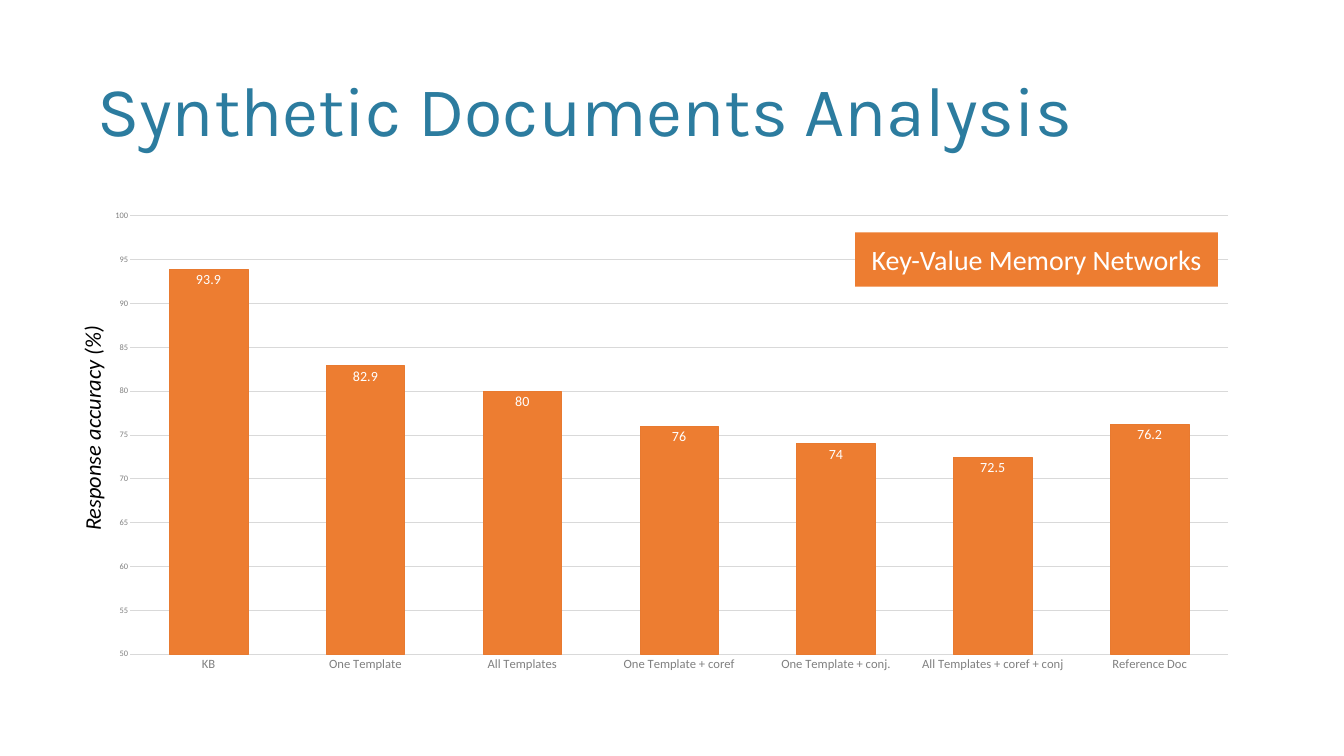
from dataclasses import dataclass
from typing import Optional

from pptx import Presentation
from pptx.chart.data import CategoryChartData
from pptx.dml.color import RGBColor
from pptx.enum.chart import XL_CHART_TYPE as ChartType
from pptx.enum.chart import XL_LABEL_POSITION as LabelPos
from pptx.enum.chart import XL_TICK_MARK as Tick
from pptx.enum.shapes import MSO_SHAPE as Shape
from pptx.enum.text import MSO_ANCHOR as Anchor
from pptx.enum.text import PP_ALIGN as Align
from pptx.util import Inches, Pt

ORANGE, EDGE, GRID, GREY = "ED7D31", "E87A30", "D9D9D9", "808080"
ACCURACY = {
    "KB": 93.9,
    "One Template": 82.9,
    "All Templates": 80,
    "One Template + coref": 76,
    "One Template + conj.": 74,
    "All Templates + coref + conj": 72.5,
    "Reference Doc": 76.2,
}


@dataclass
class Label:
    text: str
    box: tuple[float, float, float, float]
    size: int
    color: str
    font: str = "Calibri"
    italic: bool = False
    align: Align = Align.LEFT
    anchor: Anchor = Anchor.MIDDLE
    spacing: float = 1.0
    rotation: int = 0
    fill: Optional[str] = None


def rgb(value: str) -> RGBColor:
    return RGBColor.from_string(value)


def set_font(font, size: int, color: str, name: str = "Calibri", italic: bool = False) -> None:
    for key, value in {"size": Pt(size), "name": name, "italic": italic}.items():
        setattr(font, key, value)
    font.color.rgb = rgb(color)


def set_line(line, color: str) -> None:
    line.color.rgb = rgb(color)
    line.width = Pt(0.75)


def add_label(s, label: Label) -> None:
    box = [Inches(v) for v in label.box]
    if label.fill:
        sp = s.shapes.add_shape(Shape.RECTANGLE, *box)
        sp.shadow.inherit = False
        sp.fill.solid()
        sp.fill.fore_color.rgb = rgb(label.fill)
        sp.line.fill.background()
    else:
        sp = s.shapes.add_textbox(*box)
    sp.rotation = label.rotation
    tf = sp.text_frame
    tf.word_wrap = True
    tf.vertical_anchor = label.anchor
    p = tf.paragraphs[0]
    p.alignment, p.line_spacing = label.align, label.spacing
    r = p.add_run()
    r.text = label.text
    set_font(r.font, label.size, label.color, label.font, label.italic)


def add_accuracy_chart(s) -> None:
    data = CategoryChartData()
    data.categories = list(ACCURACY)
    data.add_series("Series 1", list(ACCURACY.values()))
    box = [Inches(v) for v in (1.83, 3.99, 23, 9.52)]
    chart = s.shapes.add_chart(ChartType.COLUMN_CLUSTERED, *box, data).chart
    chart.has_legend = chart.has_title = False
    set_font(chart.font, 10, "000000")

    # Axes
    cat, val = chart.category_axis, chart.value_axis
    for axis, size in ((cat, 18), (val, 12)):
        axis.major_tick_mark = axis.minor_tick_mark = Tick.NONE
        set_font(axis.tick_labels.font, size, GREY)
    set_line(cat.format.line, GRID)
    val.format.line.fill.background()
    scale = {"minimum_scale": 50, "maximum_scale": 100, "major_unit": 5}
    for key, value in scale.items():
        setattr(val, key, value)
    set_line(val.major_gridlines.format.line, GRID)

    # Columns and their values
    plot = chart.plots[0]
    plot.gap_width, plot.overlap, plot.vary_by_categories = 100, -24, False
    series = plot.series[0]
    series.format.fill.solid()
    series.format.fill.fore_color.rgb = rgb(ORANGE)
    set_line(series.format.line, EDGE)
    labels = series.data_labels
    labels.show_value = True
    labels.position = LabelPos.INSIDE_END
    set_font(labels.font, 20, "FFFFFF")


def main() -> None:
    prs = Presentation()
    prs.slide_width, prs.slide_height = Inches(26.67), Inches(15)
    s = prs.slides.add_slide(prs.slide_layouts[6])

    # Title
    add_label(s, Label("Synthetic Documents Analysis", (1.83, 0.8, 23, 2.9), 100,
                       "2C7C9F", font="Karla", spacing=0.9))
    add_accuracy_chart(s)
    # Model name and axis caption
    add_label(s, Label("Key-Value Memory Networks", (16.97, 4.61, 7.2, 1.08), 40,
                       "FFFFFF", align=Align.CENTER, fill=ORANGE))
    add_label(s, Label("Response accuracy (%)", (-0.77, 7.71, 5.2, 0.64), 32,
                       "000000", italic=True, anchor=Anchor.TOP, rotation=270))
    prs.save("out.pptx")


if __name__ == "__main__":
    main()
